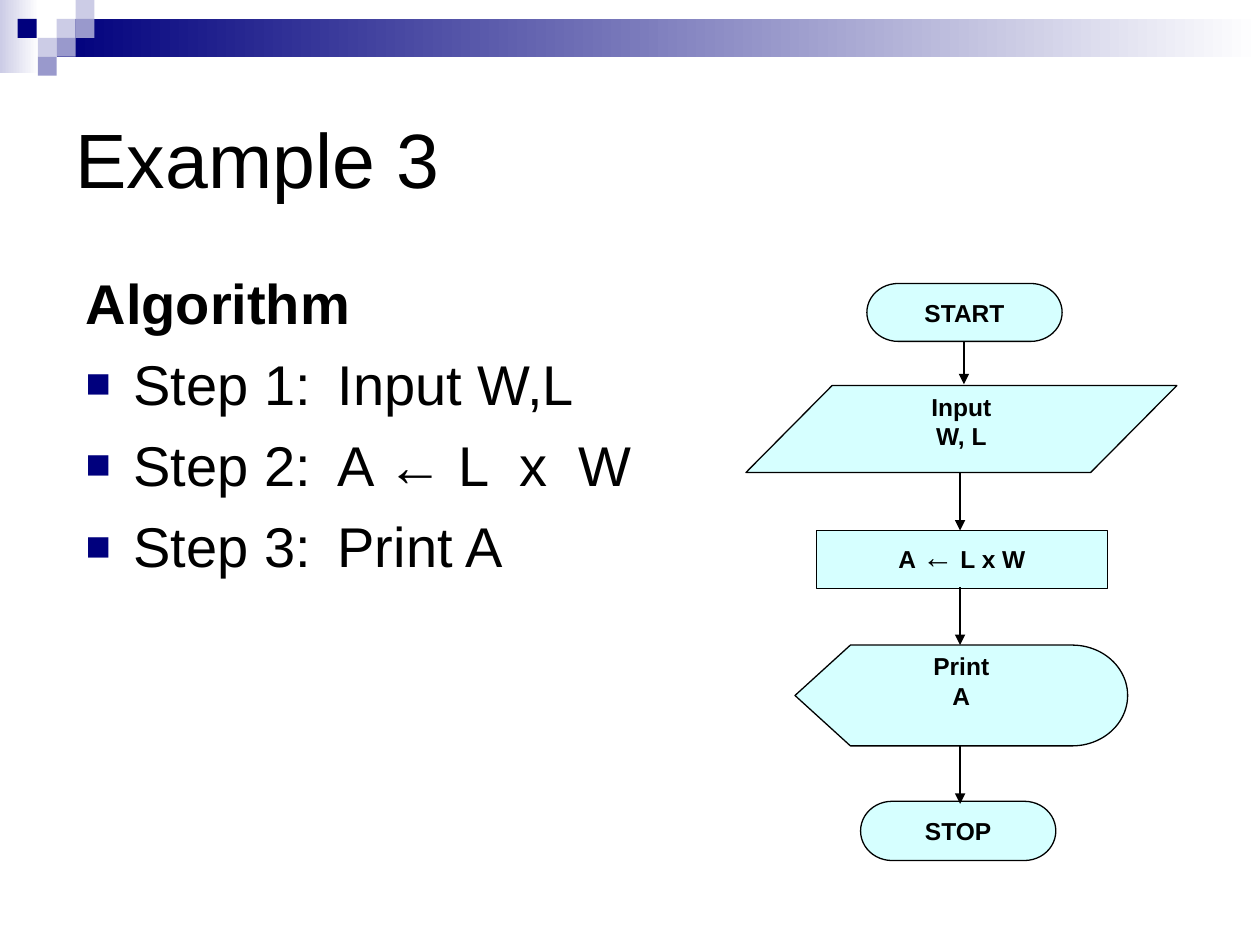
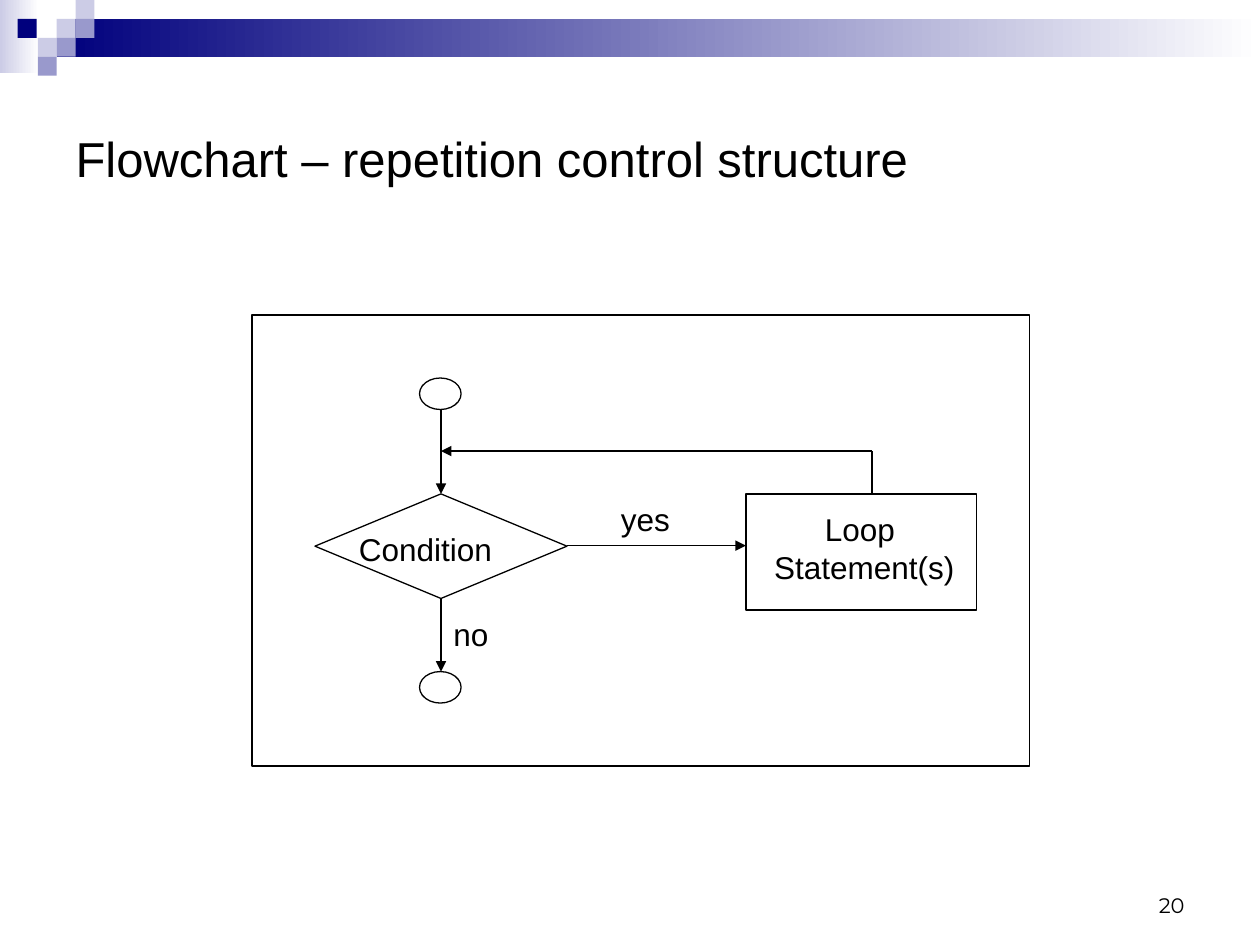
"""Build two flowchart slides with a shared banner and title style."""
from lxml.etree import SubElement
from pptx import Presentation
from pptx.dml.color import RGBColor
from pptx.enum.shapes import MSO_CONNECTOR, MSO_SHAPE as Preset
from pptx.enum.text import MSO_ANCHOR as Anchor, MSO_AUTO_SIZE as AutoSize, PP_ALIGN as Align
from pptx.oxml.ns import qn
from pptx.util import Inches, Pt

BLACK = RGBColor(0x00, 0x00, 0x00)
WHITE = RGBColor(0xFF, 0xFF, 0xFF)
NAVY = RGBColor(0x00, 0x00, 0x7D)
LAVENDER = RGBColor(0xCC, 0xCC, 0xE6)
PERIWINKLE = RGBColor(0x99, 0x99, 0xCC)
PALE_CYAN = RGBColor(0xCC, 0xFF, 0xFF)

TILE = 0.15
TILES = [(0.45, 0.15, LAVENDER), (0.6, 0, LAVENDER), (0.6, 0.15, PERIWINKLE),
         (0.3, 0.3, LAVENDER), (0.14, 0.15, NAVY), (0.45, 0.3, PERIWINKLE),
         (0.3, 0.45, PERIWINKLE)]

NODE_FONT = {"name": "Arial", "size": Pt(14), "bold": True}
ARROW_FONT = {"name": "Arial", "size": Pt(18), "bold": False}
LABEL_FONT = {"name": "Arial", "size": Pt(18)}
NUMBER_FONT = {"name": "Montserrat", "size": Pt(12)}
BODY_FONT = {"name": "Arial", "size": Pt(32), "bold": False}
HEADING_FONT = {**BODY_FONT, "bold": True}
FRAME_FORMAT = {"word_wrap": True, "auto_size": AutoSize.NONE, "vertical_anchor": Anchor.TOP}


def set_attributes(target, values):
    """Set every named attribute of the target."""
    for name, value in values.items():
        setattr(target, name, value)


def place(shape, *box):
    """Move and size a shape in inches."""
    set_attributes(shape, dict(zip(("left", "top", "width", "height"), map(Inches, box))))


def add_element(parent, tag, **attributes):
    """Append a drawing element with attributes."""
    return SubElement(parent, qn(tag), attributes)


def write(frame, paragraphs, font, alignment=Align.LEFT, **frame_format):
    """Fill a frame; a paragraph is a string or a list of (text, font) runs."""
    set_attributes(frame, {**FRAME_FORMAT, **frame_format})
    for index, content in enumerate(paragraphs):
        paragraph = frame.paragraphs[0] if index == 0 else frame.add_paragraph()
        paragraph.alignment = alignment
        for text, run_font in [(content, font)] if isinstance(content, str) else content:
            run = paragraph.add_run()
            run.text = text
            set_attributes(run.font, run_font)
            run.font.color.rgb = BLACK


def add_preset(slide, preset, box, fill=None, opacity=None, outlined=True):
    """Add a preset shape with an optional fill and a thin black outline."""
    shape = slide.shapes.add_shape(preset, *map(Inches, box))
    shape.shadow.inherit = False
    if fill is None:
        shape.fill.background()
    else:
        shape.fill.solid()
        shape.fill.fore_color.rgb = fill
    if opacity is not None:
        color = shape.fill._xPr.find(qn("a:solidFill"))[0]
        add_element(color, "a:alpha", val=str(opacity * 1000))
    if outlined:
        set_attributes(shape.line, {"width": Pt(0.75)})
        shape.line.color.rgb = BLACK
    else:
        shape.line.fill.background()
    return shape


def add_node(slide, preset, box, paragraphs):
    """Add a translucent flowchart node with centred bold text."""
    shape = add_preset(slide, preset, box, PALE_CYAN, opacity=80)
    write(shape.text_frame, paragraphs, NODE_FONT, Align.CENTER)


def add_label(slide, box, paragraphs, font=LABEL_FONT, alignment=Align.LEFT, **frame_format):
    """Add a text box."""
    label = slide.shapes.add_textbox(*map(Inches, box))
    write(label.text_frame, paragraphs, font, alignment, **frame_format)


def add_line(slide, start, end, arrow=True):
    """Add a straight connector, by default with an arrowhead at its end."""
    connector = slide.shapes.add_connector(MSO_CONNECTOR.STRAIGHT, *map(Inches, start + end))
    connector.line.width = Pt(0.75)
    connector.line.color.rgb = BLACK
    if arrow:
        add_element(connector.line._get_or_add_ln(), "a:tailEnd", type="triangle")
    add_element(connector._element.spPr, "a:effectLst")


def add_fade(slide, box, color):
    """Add a band fading from a colour to white."""
    band = add_preset(slide, Preset.RECTANGLE, box, outlined=False)
    band.fill.gradient()
    band.fill.gradient_angle = 0
    for stop, stop_color in zip(band.fill.gradient_stops, (color, WHITE)):
        stop.color.rgb = stop_color


def add_titled_slide(presentation, layout_index, title, size):
    """Add a slide with the shared banner and title style."""
    slide = presentation.slides.add_slide(presentation.slide_layouts[layout_index])
    add_fade(slide, (0, 0, 0.31, 0.58), LAVENDER)
    add_fade(slide, (0.45, 0.15, 9.55, 0.3), NAVY)
    for left, top, color in TILES:
        add_preset(slide, Preset.RECTANGLE, (left, top, TILE, TILE), color, outlined=False)
    place(slide.shapes.title, 0.5, 0.5, 9, 1.5)
    write(slide.shapes.title.text_frame, [title], {"name": "Arial", "size": Pt(size)},
          vertical_anchor=Anchor.MIDDLE)
    return slide


def format_list_item(paragraph, bulleted):
    """Give a list paragraph its hanging indent, bullet and tab stop."""
    paragraph.space_before = Pt(8)
    properties = paragraph._p.get_or_add_pPr()
    properties.set("marL", str(Inches(0.38)))
    properties.set("indent", str(-Inches(0.38)))
    if bulleted:
        add_element(add_element(properties, "a:buClr"), "a:srgbClr", val=str(NAVY))
        add_element(properties, "a:buSzPct", val="75000")
        add_element(properties, "a:buFont", typeface="Arial")
        add_element(properties, "a:buChar", char="■")
    else:
        add_element(properties, "a:buNone")
    tabs = add_element(properties, "a:tabLst")
    for position in (1, 2):
        add_element(tabs, "a:tab", pos=str(Inches(position)), algn="l")


def build_algorithm_slide(presentation):
    """Build the area algorithm with its flowchart."""
    slide = add_titled_slide(presentation, 1, "Example 3", 44)
    body = slide.placeholders[1]
    place(body, 0.58, 2.08, 9, 4.25)
    write(body.text_frame, [[("Algorithm", HEADING_FONT)], "Step 1: \tInput W,L",
                            "Step 2: \tA ← L  x  W", "Step 3: \tPrint A"], BODY_FONT)
    for index, paragraph in enumerate(body.text_frame.paragraphs):
        format_list_item(paragraph, bulleted=index > 0)

    assignment = [("A ", NODE_FONT), ("←", ARROW_FONT), (" L x W", NODE_FONT)]
    nodes = [
        (Preset.FLOWCHART_TERMINATOR, (6.88, 2.25, 1.55, 0.46), ["START"]),
        (Preset.FLOWCHART_DATA, (5.92, 3.06, 3.42, 0.69), ["Input", "W, L"]),
        (Preset.FLOWCHART_PROCESS, (6.48, 4.21, 2.31, 0.46), [assignment]),
        (Preset.FLOWCHART_DISPLAY, (6.31, 5.12, 2.64, 0.8), ["Print", "A"]),
        (Preset.FLOWCHART_TERMINATOR, (6.83, 6.36, 1.55, 0.47), ["STOP"]),
    ]
    for node in nodes:
        add_node(slide, *node)
    for x, top, bottom in [(7.65, 2.71, 3.05), (7.62, 3.75, 4.21),
                           (7.62, 4.66, 5.12), (7.62, 5.92, 6.38)]:
        add_line(slide, (x, top), (x, bottom))


def build_repetition_slide(presentation):
    """Build the loop flowchart inside its frame."""
    slide = add_titled_slide(presentation, 5, "Flowchart – repetition control structure", 28)
    add_label(slide, (7.17, 6.83, 2.33, 0.5), ["20"], NUMBER_FONT, Align.RIGHT,
              vertical_anchor=Anchor.BOTTOM)
    for preset, box in [
        (Preset.RECTANGLE, (2, 2.5, 6.17, 3.58)),
        (Preset.FLOWCHART_DECISION, (2.5, 3.92, 2, 0.83)),
        (Preset.FLOWCHART_PROCESS, (5.92, 3.92, 1.83, 0.92)),
        (Preset.OVAL, (3.33, 3, 0.33, 0.25)),
        (Preset.OVAL, (3.33, 5.33, 0.33, 0.25)),
    ]:
        add_preset(slide, preset, box)

    axis, loop_axis, return_level = 3.5, 6.92, 3.58
    add_line(slide, (axis, 3.25), (axis, 3.92))
    add_line(slide, (4.5, 4.33), (5.92, 4.33))
    add_line(slide, (loop_axis, 3.92), (loop_axis, return_level), arrow=False)
    add_line(slide, (loop_axis, return_level), (axis, return_level))
    add_line(slide, (axis, 4.75), (axis, 5.33))

    add_label(slide, (2.75, 4.16, 1.25, 0.4), ["Condition"], word_wrap=False)
    add_label(slide, (5.92, 4, 1.88, 0.7), ["Loop ", "Statement(s)"], alignment=Align.CENTER)
    add_label(slide, (4.83, 3.92, 0.75, 0.4), ["yes"])
    add_label(slide, (axis, 4.83, 0.75, 0.4), ["no"])


def main():
    """Build and save the presentation."""
    presentation = Presentation()
    set_attributes(presentation, {"slide_width": Inches(10), "slide_height": Inches(7.5)})
    build_algorithm_slide(presentation)
    build_repetition_slide(presentation)
    presentation.save("out.pptx")


if __name__ == "__main__":
    main()
